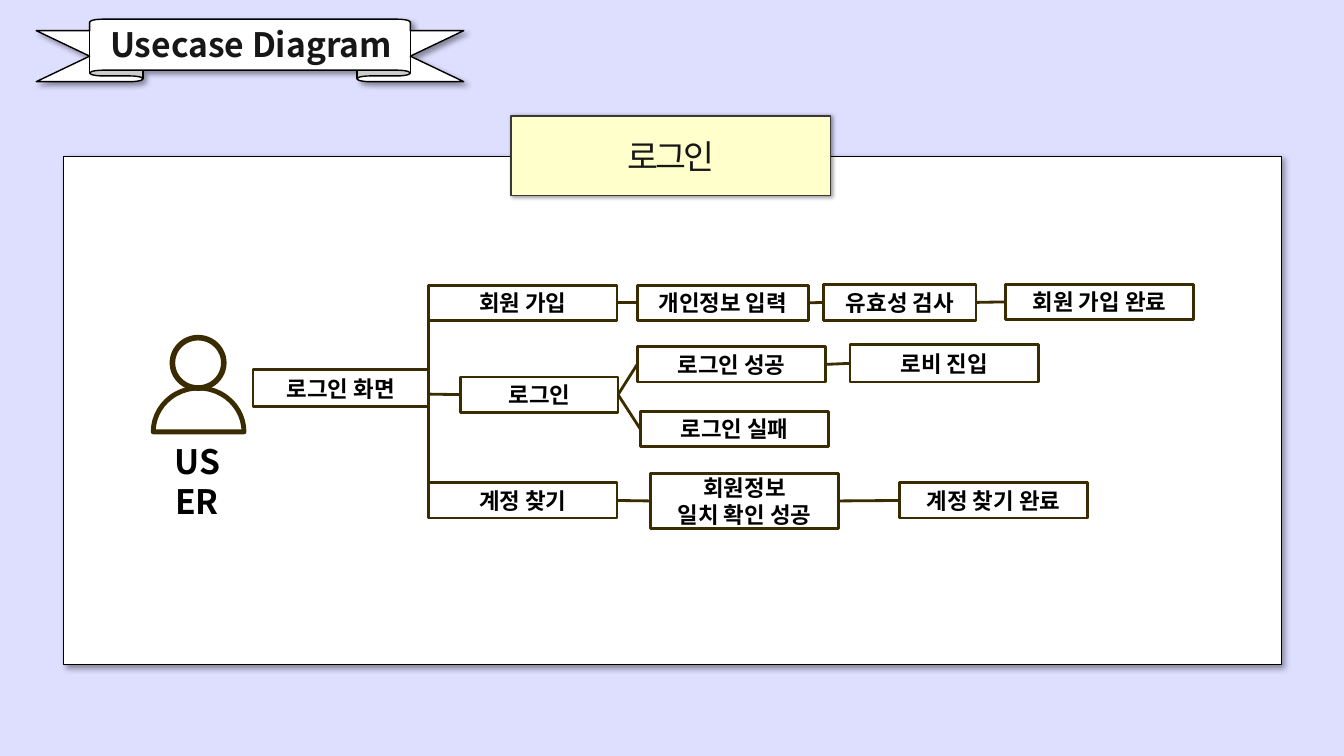
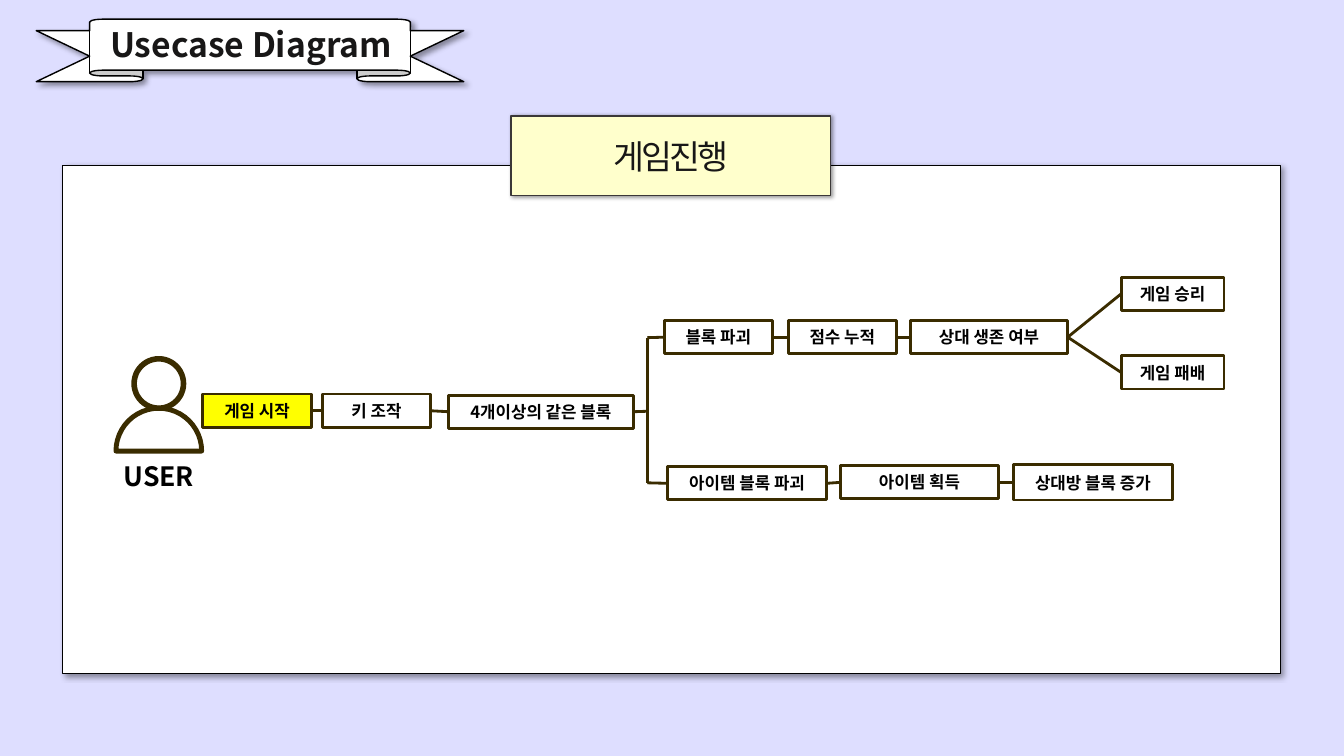
"""Build two use case diagram slides: login and game play."""
import dataclasses

import pptx
import pptx.dml.color
import pptx.enum.shapes
import pptx.enum.text
import pptx.oxml.ns
import pptx.util
from lxml import etree

Inches = pptx.util.Inches
Pt = pptx.util.Pt
qn = pptx.oxml.ns.qn
RGB = pptx.dml.color.RGBColor.from_string
SHAPE = pptx.enum.shapes.MSO_SHAPE
ANCHOR = pptx.enum.text.MSO_ANCHOR


@dataclasses.dataclass(frozen=True)
class Theme:
    font: str = "Noto Sans CJK KR"
    backdrop: str = "DEDEFF"
    white: str = "FFFFFF"
    black: str = "000000"
    heading: str = "181717"
    brown: str = "3A2C00"
    label: str = "FFFFCC"
    label_edge: str = "3B3838"
    highlight: str = "FFFF00"
    heading_size: int = 24
    edge: float = 1
    stroke: float = 2
    body_stroke: float = 3.5
    head_stroke: float = 4


theme = Theme()


def write_text(box, text, size, color=theme.black, bold=True, spacing=None,
               anchor=ANCHOR.MIDDLE, insets=(0.13, 0.07)):
    frame = box.text_frame
    frame.word_wrap = True
    frame.auto_size = pptx.enum.text.MSO_AUTO_SIZE.NONE
    frame.vertical_anchor = anchor
    frame.margin_left = frame.margin_right = Inches(insets[0])
    frame.margin_top = frame.margin_bottom = Inches(insets[1])
    for index, line in enumerate(text.split("\n")):
        para = frame.add_paragraph() if index else frame.paragraphs[0]
        para.alignment = pptx.enum.text.PP_ALIGN.CENTER
        span = para.add_run()
        span.text = line
        span.font.size = Pt(size)
        span.font.bold = bold
        span.font.color.rgb = RGB(color)
        span.font.name = theme.font
        properties = span._r.get_or_add_rPr()
        etree.SubElement(properties, qn("a:ea"), typeface=theme.font)
        if spacing is not None:
            properties.set("spc", str(spacing * 100))


def draw_shape(shapes, kind, place, fill=None, edge=theme.brown,
               width=theme.stroke, shadow=None):
    shape = shapes.add_shape(kind, *map(Inches, place))
    if fill:
        shape.fill.solid()
        shape.fill.fore_color.rgb = RGB(fill)
    else:
        shape.fill.background()
    shape.line.color.rgb = RGB(edge)
    shape.line.width = Pt(width)
    shape.shadow.inherit = False
    if shadow:
        blur, distance = shadow
        effects = shape._element.spPr.find(qn("a:effectLst"))
        outer = etree.SubElement(
            effects, qn("a:outerShdw"), blurRad=str(Pt(blur)),
            dist=str(Pt(distance)), dir=str(45 * 60000), algn="tl", rotWithShape="0")
        color = etree.SubElement(outer, qn("a:srgbClr"), val=theme.black)
        etree.SubElement(color, qn("a:alpha"), val="40000")
    return shape


scenes = [
    {
        "label": "로그인",
        "panel": (0.63, 1.55, 12.08, 5.04),
        "body": (1.52, 3.85, 0.9, 0.87),
        "head": (1.71, 3.35, 0.51, 0.5),
        "caption": (1.57, 4.3, 0.77, 0.95),
        "caption_size": 24,
        "box_size": 16,
        "boxes": {
            "로그인 화면": (2.51, 3.67, 1.74, 0.36),
            "회원 가입": (4.25, 2.83, 1.87, 0.35),
            "개인정보 입력": (6.32, 2.83, 1.7, 0.35),
            "유효성 검사": (8.17, 2.82, 1.51, 0.36),
            "회원 가입 완료": (9.97, 2.82, 1.87, 0.35),
            "로그인": (4.57, 3.74, 1.56, 0.35),
            "로그인 성공": (6.32, 3.44, 1.87, 0.35),
            "로비 진입": (8.43, 3.42, 1.87, 0.37),
            "로그인 실패": (6.35, 4.08, 1.87, 0.35),
            "계정 찾기": (4.25, 4.79, 1.87, 0.35),
            "회원정보\n일치 확인 성공": (6.45, 4.7, 1.87, 0.54),
            "계정 찾기 완료": (8.92, 4.79, 1.87, 0.35),
        },
        "chains": [
            ["로그인 화면", "회원 가입", "개인정보 입력", "유효성 검사", "회원 가입 완료"],
            [(4.25, 3.91), "로그인", "로그인 성공", "로비 진입"],
            ["로그인", "로그인 실패"],
            ["로그인 화면", "계정 찾기", "회원정보\n일치 확인 성공", "계정 찾기 완료"],
        ],
    },
    {
        "label": "게임진행",
        "panel": (0.62, 1.64, 12.08, 5.04),
        "body": (1.15, 4.05, 0.85, 0.85),
        "head": (1.33, 3.56, 0.49, 0.49),
        "caption": (1.09, 4.49, 0.97, 0.44),
        "caption_size": 19,
        "box_size": 12,
        "boxes": {
            "게임 시작": (2.01, 3.91, 1.08, 0.33),
            "키 조작": (3.2, 3.91, 1.07, 0.33),
            "4개이상의 같은 블록": (4.45, 3.92, 1.83, 0.33),
            "블록 파괴": (6.59, 3.18, 1.07, 0.33),
            "점수 누적": (7.82, 3.18, 1.07, 0.33),
            "상대 생존 여부": (9.03, 3.18, 1.56, 0.33),
            "게임 승리": (11.12, 2.75, 1.02, 0.33),
            "게임 패배": (11.12, 3.53, 1.02, 0.33),
            "아이템 블록 파괴": (6.62, 4.63, 1.58, 0.33),
            "아이템 획득": (8.34, 4.62, 1.56, 0.33),
            "상대방 블록 증가": (10.05, 4.61, 1.58, 0.35),
        },
        "chains": [
            ["게임 시작", "키 조작", "4개이상의 같은 블록", (6.42, 4.08)],
            [(6.42, 4.08), (6.42, 3.35), "블록 파괴", "점수 누적", "상대 생존 여부", "게임 승리"],
            ["상대 생존 여부", "게임 패배"],
            [(6.42, 4.08), (6.42, 4.79), "아이템 블록 파괴", "아이템 획득", "상대방 블록 증가"],
        ],
    },
]
highlighted = {"게임 시작"}

deck = pptx.Presentation()
deck.slide_width = Inches(13.33)
deck.slide_height = Inches(7.5)
backdrop = deck.slide_master.background.fill
backdrop.solid()
backdrop.fore_color.rgb = RGB(theme.backdrop)
layout = deck.slide_layouts.get_by_name("Title Only")
pages = [deck.slides.add_slide(layout) for scene in scenes]

ribbon = draw_shape(pages[0].shapes, SHAPE.UP_RIBBON, (0.36, 0.19, 4.24, 0.62),
                    theme.white, theme.black, theme.edge, shadow=(4, 3))
ribbon.adjustments[0] = 0.184
ribbon.adjustments[1] = 0.75
layout.shapes._spTree.append(ribbon._element)

for page, scene in zip(pages, scenes):
    title = page.shapes.title
    title.left, title.top, title.width, title.height = map(Inches, (0.95, 0.17, 3.08, 0.54))
    write_text(title, "Usecase Diagram", theme.heading_size, theme.heading)

    draw_shape(page.shapes, SHAPE.RECTANGLE, scene["panel"], theme.white, theme.black,
               theme.edge, shadow=(4, 3))
    label = draw_shape(page.shapes, SHAPE.RECTANGLE, (5.07, 1.15, 3.17, 0.79), theme.label,
                       theme.label_edge, theme.edge, shadow=(3, 1))
    write_text(label, scene["label"], theme.heading_size, theme.heading, bold=False,
               spacing=-2, insets=(0.1, 0.05))

    actor = page.shapes.add_group_shape()
    body = draw_shape(actor.shapes, SHAPE.CHORD, scene["body"], width=theme.body_stroke)
    body.adjustments[0] = 108
    body.adjustments[1] = 0
    draw_shape(actor.shapes, SHAPE.OVAL, scene["head"], width=theme.head_stroke)
    caption = actor.shapes.add_textbox(*map(Inches, scene["caption"]))
    write_text(caption, "USER", scene["caption_size"], anchor=ANCHOR.TOP)

    boxes = {}
    for text, place in scene["boxes"].items():
        fill = theme.highlight if text in highlighted else None
        boxes[text] = draw_shape(page.shapes, SHAPE.RECTANGLE, place, fill)
        write_text(boxes[text], text, scene["box_size"])

    for chain in scene["chains"]:
        for start, end in zip(chain, chain[1:]):
            link = page.shapes.add_connector(
                pptx.enum.shapes.MSO_CONNECTOR.STRAIGHT, 0, 0, 0, 0)
            if start in boxes:
                link.begin_connect(boxes[start], 3)
            else:
                link.begin_x, link.begin_y = map(Inches, start)
            if end in boxes:
                link.end_connect(boxes[end], 1)
            else:
                link.end_x, link.end_y = map(Inches, end)
            link.line.color.rgb = RGB(theme.brown)
            link.line.width = Pt(theme.stroke)
            etree.SubElement(link._element.spPr, qn("a:effectLst"))

deck.save("out.pptx")
